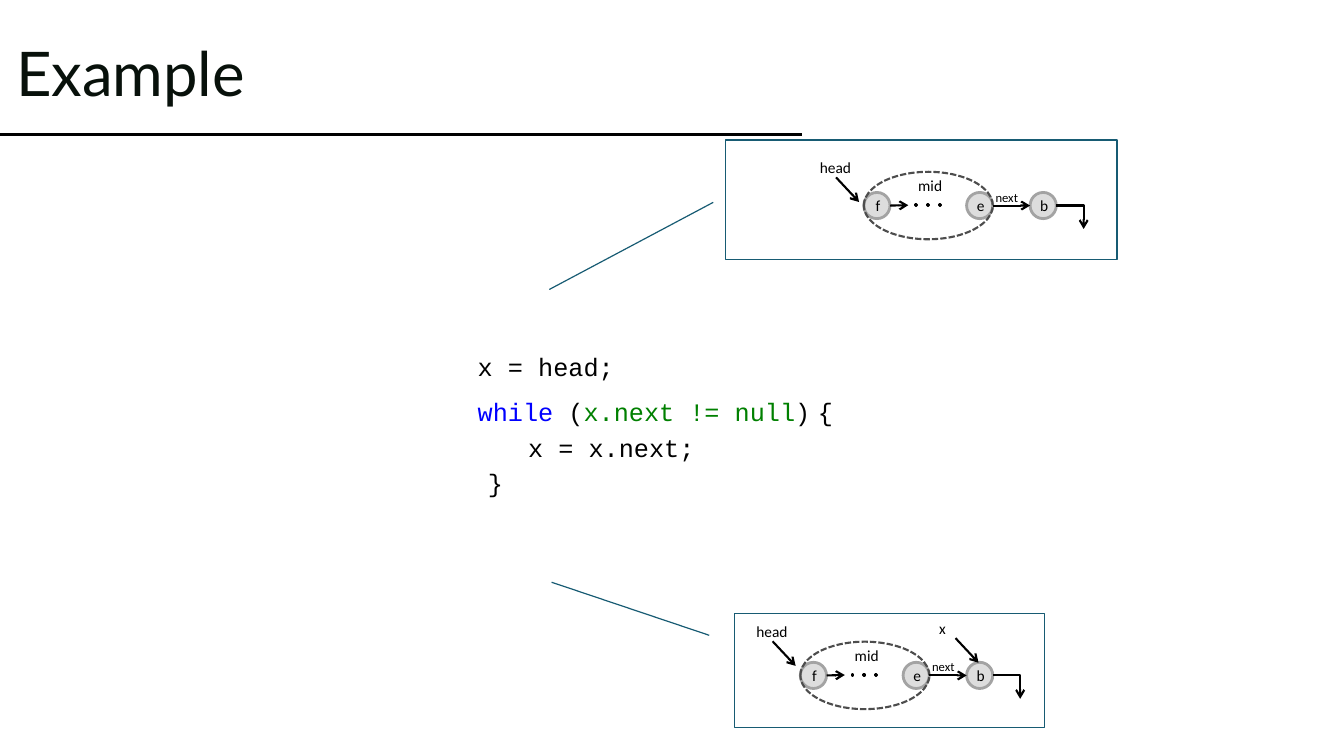
import pptx
import pptx.util
import pptx.dml.color
import pptx.enum.dml
import pptx.enum.shapes
import pptx.enum.text
import pptx.oxml.ns
import lxml.etree

Cm = pptx.util.Cm
Pt = pptx.util.Pt
SHAPE = pptx.enum.shapes.MSO_SHAPE
CONNECTOR = pptx.enum.shapes.MSO_CONNECTOR
ANCHOR = pptx.enum.text.MSO_ANCHOR
ALIGN = pptx.enum.text.PP_ALIGN
FIT = pptx.enum.text.MSO_AUTO_SIZE
qn = pptx.oxml.ns.qn


def color(value):
    return pptx.dml.color.RGBColor.from_string(value)


class ListSlide:
    black = "000000"
    body_font = "Calibri"
    code_font = "Courier New"
    title_font = "Lato"

    def __init__(self, prs):
        self.s = prs.slides.add_slide(prs.slide_layouts[5])

    def style(self, font, name, size, value=black):
        font.name = name
        font.size = Pt(size)
        font.color.rgb = color(value)

    def title(self, text, x, y, w, h):
        sp = self.s.shapes.title
        sp.left, sp.top, sp.width, sp.height = Cm(x), Cm(y), Cm(w), Cm(h)
        tf = sp.text_frame
        tf.text = text
        tf.auto_size = FIT.NONE
        tf.vertical_anchor = ANCHOR.MIDDLE
        p = tf.paragraphs[0]
        p.alignment = ALIGN.LEFT
        p.line_spacing = 0.9
        self.style(p.font, self.title_font, 44, "08110B")

    def shape(self, kind, x, y, w, h, fill, line, width):
        sp = self.s.shapes.add_shape(kind, Cm(x), Cm(y), Cm(w), Cm(h))
        sp.shadow.inherit = False
        if fill:
            sp.fill.solid()
            sp.fill.fore_color.rgb = color(fill)
        else:
            sp.fill.background()
        sp.line.color.rgb = color(line)
        sp.line.width = Pt(width)
        return sp

    def line(self, x1, y1, x2, y2, width=1.5, arrow=True, bent=False):
        kind = CONNECTOR.ELBOW if bent else CONNECTOR.STRAIGHT
        cn = self.s.shapes.add_connector(kind, Cm(x1), Cm(y1), Cm(x2), Cm(y2))
        cn.line.color.rgb = color(self.black)
        cn.line.width = Pt(width)
        spPr = cn.element.spPr
        if bent:
            spPr.find(qn("a:prstGeom")).set("prst", "bentConnector2")
        if arrow:
            lxml.etree.SubElement(spPr.find(qn("a:ln")), qn("a:tailEnd"), type="arrow")
        lxml.etree.SubElement(spPr, qn("a:effectLst"))

    def label(self, text, x, y, w, h=0.74, size=11):
        tf = self.s.shapes.add_textbox(Cm(x), Cm(y), Cm(w), Cm(h)).text_frame
        tf.text = text
        tf.word_wrap = False
        tf.auto_size = FIT.SHAPE_TO_FIT_TEXT
        self.style(tf.paragraphs[0].font, self.body_font, size)

    def code(self, lines, x, y, w, h):
        tf = self.s.shapes.add_textbox(Cm(x), Cm(y), Cm(w), Cm(h)).text_frame
        tf.word_wrap = True
        tf.auto_size = FIT.SHAPE_TO_FIT_TEXT
        for i, (indent, runs) in enumerate(lines):
            p = tf.add_paragraph() if i else tf.paragraphs[0]
            p.line_spacing = 1.15
            pPr = p._p.get_or_add_pPr()
            pPr.set("marL", "0")
            pPr.set("indent", str(Cm(indent)))
            for text, name, size, value in runs:
                r = p.add_run()
                r.text = text
                self.style(r.font, name, size, value)

    def callout(self, x, y, w, h, adjustments):
        sp = self.shape(SHAPE.LINE_CALLOUT_1, x, y, w, h, "FFFFFF", "175B73", 0.85)
        for i, value in enumerate(adjustments):
            sp.adjustments[i] = value

    def node(self, text, x, y):
        sp = self.shape(SHAPE.OVAL, x, y - 0.33, 0.66, 0.66, "DDDDDD", "A3A3A3", 2)
        tf = sp.text_frame
        tf.text = text
        tf.margin_left, tf.margin_right = Cm(0.05), 0
        tf.vertical_anchor = ANCHOR.MIDDLE
        p = tf.paragraphs[0]
        p.alignment = ALIGN.CENTER
        self.style(p.font, self.body_font, 11)

    def pointer(self, text, x, y, w):
        self.label(text, x, y, w)
        self.line(x + 0.66, y + 0.61, x + 1.24, y + 1.23)

    def linked_list(self, x, y, head_rise):
        for text, dx in (("f", 0), ("e", 2.59), ("b", 4.19)):
            self.node(text, x + dx, y)
        for i in range(3):
            self.shape(SHAPE.RECTANGLE, x + 1.3 + 0.3 * i, y - 0.03, 0.03, 0.03,
                       self.black, self.black, 2)
        self.label("mid", x + 1.12, y - 0.86, 1.12)
        sp = self.shape(SHAPE.OVAL, x, y - 0.85, 3.25, 1.7, None, "4D4D4D", 1.5)
        sp.line.dash_style = pptx.enum.dml.MSO_LINE.SQUARE_DOT
        sp.line._ln.find(qn("a:prstDash")).set("val", "sysDash")
        self.label("next", x + 3.07, y - 0.53, 1.09, 0.64, 9)
        self.pointer("head", x - 1.36, y - head_rise, 1.3)
        self.line(x + 0.66, y, x + 1.12, y - 0.01)
        self.line(x + 3.25, y, x + 4.19, y)
        self.line(x + 4.85, y, x + 5.54, y + 0.59, bent=True)


def main():
    prs = pptx.Presentation()
    prs.slide_width, prs.slide_height = Cm(33.87), Cm(19.05)
    s = ListSlide(prs)
    s.line(0, 3.38, 20.22, 3.38, width=2.25, arrow=False)
    s.title("Example", 0.15, 0.08, 19.08, 3.68)

    mono = (s.code_font, 18)
    black, blue, green = s.black, "0000FF", "008000"
    s.code([
        (1.27, [("x = head;", *mono, black)]),
        (1.27, [("while", *mono, blue), (" (", *mono, black),
                ("x.next != null", *mono, green), (")", *mono, black),
                (" ", s.body_font, 24, black), ("{", *mono, black)]),
        (1.27, [("\tx = x.next;", *mono, black)]),
        (0, [("    }", *mono, black)]),
    ], 10.52, 8.61, 12.7, 4.09)

    s.callout(18.52, 15.47, 7.8, 2.87, (0.188, -0.083, -0.278, -0.592))
    s.callout(18.29, 3.53, 9.86, 3.02, (0.52, -0.032, 1.247, -0.451))
    s.linked_list(21.77, 5.18, 1.32)
    s.linked_list(20.17, 17.02, 1.47)
    s.pointer("x", 23.42, 15.47, 0.69)
    prs.save("out.pptx")


if __name__ == "__main__":
    main()
